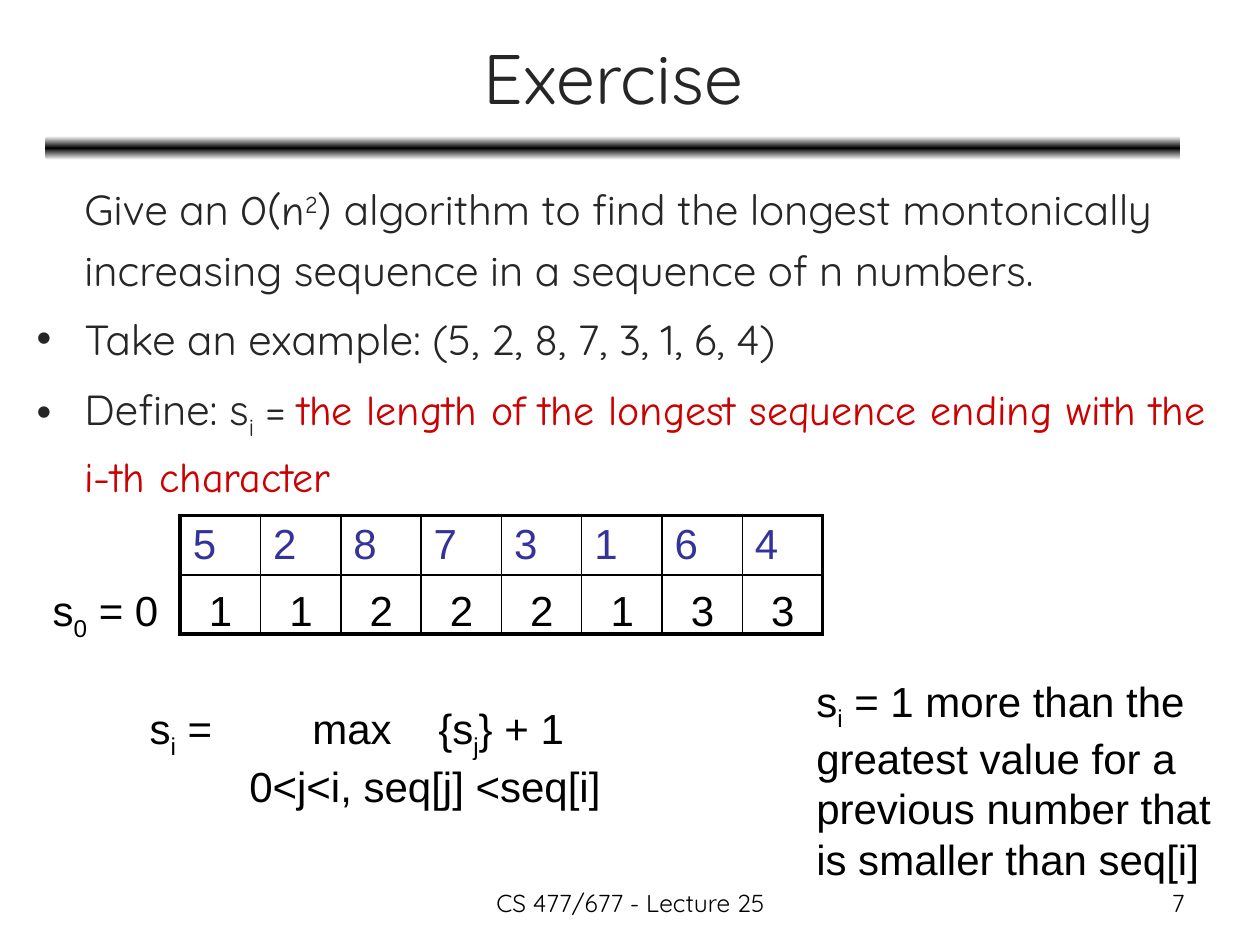
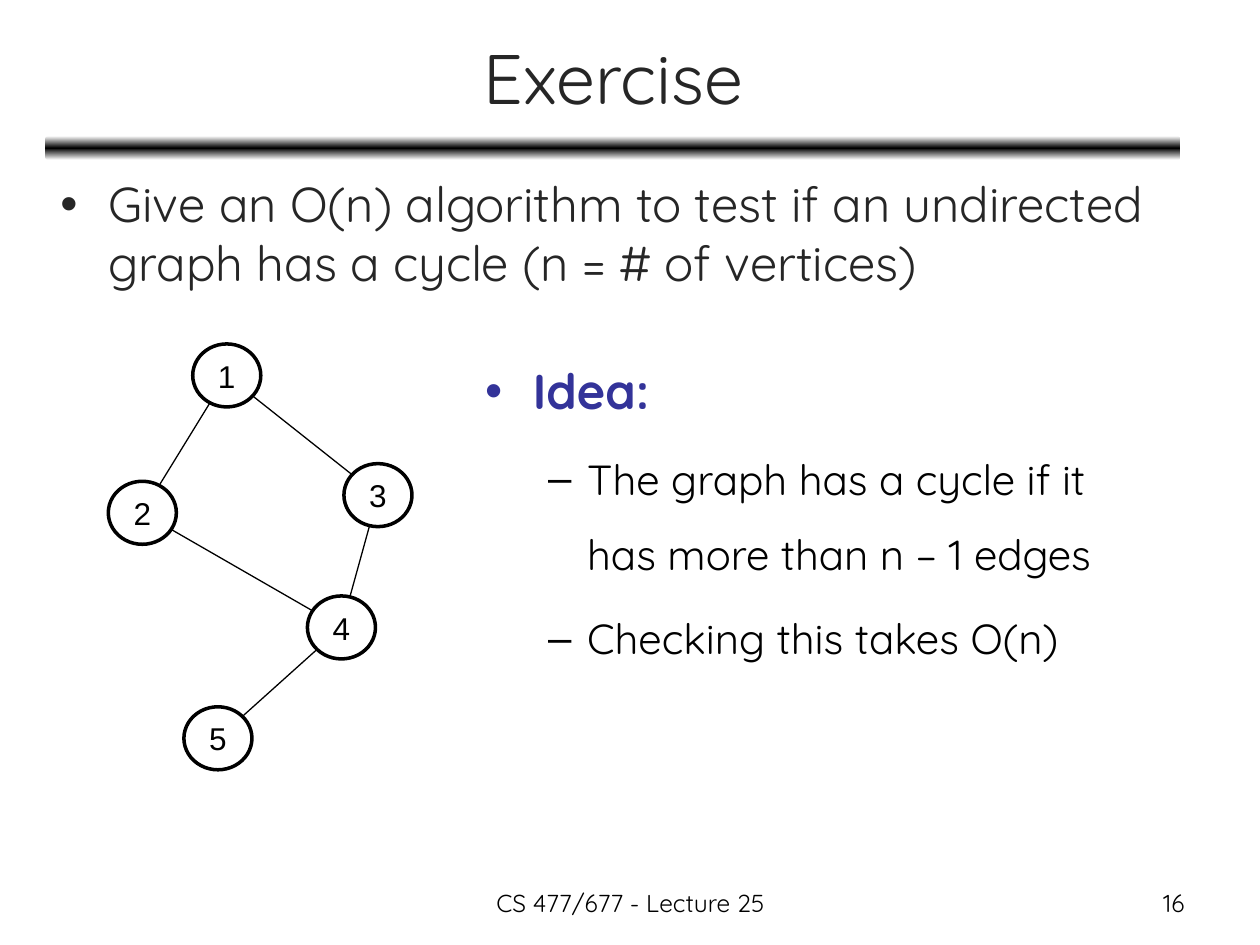
"""Two lecture slides: longest increasing sequence and cycle detection."""
from itertools import product
from math import hypot

from pptx import Presentation
from pptx import util as u
from pptx.dml.color import RGBColor
from pptx.enum import shapes, text
from pptx.oxml import parse_xml
from pptx.oxml.ns import nsdecls, qn

BLACK, WHITE, INK = "000000", "FFFFFF", "262626"
RED, BLUE = "CC0000", "333399"
PLAIN, SCRIPT, HEAD = "Arial", "Comic Neue", "Quicksand"
ALIGN = {"left": text.PP_ALIGN.LEFT, "center": text.PP_ALIGN.CENTER,
         "right": text.PP_ALIGN.RIGHT}
MIDDLE, TOP = text.MSO_ANCHOR.MIDDLE, text.MSO_ANCHOR.TOP
COLUMNS, ROWS = 100, 75
FOOTER = "CS 477/677 - Lecture 25"


def color(hex_string):
    """Turn a hex string into a colour."""
    return RGBColor.from_string(hex_string)


def element(tag, content="", **attributes):
    """Build one drawing element."""
    listed = "".join(f' {name}="{value}"' for name, value in attributes.items())
    return parse_xml(f"<a:{tag} {nsdecls('a')}{listed}>{content}</a:{tag}>")


def solid(hex_string):
    """Return the markup of a solid colour."""
    return f'<a:solidFill><a:srgbClr val="{hex_string}"/></a:solidFill>'


def line(*spans, **format):
    """Describe a paragraph: its spans and what is special about it."""
    return spans, format


def low(letter):
    """Describe a subscript."""
    return letter, {"base": -25}


def write_span(para, words, size=24, font=PLAIN, ink=BLACK, bold=False, base=0):
    """Add one formatted run to a paragraph."""
    span = para.add_run()
    span.text = words
    span.font.size, span.font.name, span.font.bold = u.Pt(size), font, bold
    span.font.color.rgb = color(ink)
    if base:
        span._r.get_or_add_rPr().set("baseline", str(base * 1000))


def write(frame, lines, anchor=TOP, wrap=True, grow=False, **shared):
    """Fill a text frame with lines that share a format."""
    frame.word_wrap, frame.vertical_anchor = wrap, anchor
    frame.auto_size = (text.MSO_AUTO_SIZE.SHAPE_TO_FIT_TEXT if grow
                       else text.MSO_AUTO_SIZE.NONE)
    for number, (spans, special) in enumerate(lines):
        para = frame.paragraphs[0] if number == 0 else frame.add_paragraph()
        format = {**shared, **special}
        shape_para(para, format)
        for span in spans:
            words, change = (span, {}) if isinstance(span, str) else span
            write_span(para, words, **{**format, **change})


def shape_para(para, format):
    """Apply the paragraph part of a format and take it out of the format."""
    para.alignment = ALIGN[format.pop("align", "left")]
    para.level = format.pop("level", 0)
    para.line_spacing = format.pop("spacing", 1.0)
    para.space_before = u.Pt(format.pop("before", 0) * format.get("size", 24))
    indent, hang = format.pop("indent", 0), format.pop("hang", 0)
    bullet, tabs = format.pop("bullet", None), format.pop("tabs", ())
    properties = para._p.get_or_add_pPr()
    properties.set("marL", str(u.Inches(indent)))
    properties.set("indent", str(u.Inches(-hang if bullet else 0)))
    if bullet:
        properties.append(element("buFont", typeface=PLAIN))
        properties.append(element("buChar", char=bullet))
    else:
        properties.append(element("buNone"))
    if tabs:
        stops = "".join(f'<a:tab pos="{u.Inches(stop)}" algn="l"/>' for stop in tabs)
        properties.append(element("tabLst", stops))


class Lecture:
    """The deck's style and its current slide."""

    def __init__(self):
        """Open an empty deck with a grid of columns and rows."""
        self.deck = Presentation()
        self.deck.slide_width, self.deck.slide_height = u.Inches(10), u.Inches(7.5)
        self.page = None

    def across(self, columns):
        """Turn columns into a length."""
        return round(self.deck.slide_width * columns / COLUMNS)

    def down(self, rows):
        """Turn rows into a length."""
        return round(self.deck.slide_height * rows / ROWS)

    def area(self, left, top, width, height):
        """Turn a grid area into four lengths."""
        return (self.across(left), self.down(top),
                self.across(width), self.down(height))

    def slide(self, title, number, layout):
        """Start a slide with its title, band and footer."""
        self.page = self.deck.slides.add_slide(self.deck.slide_layouts[layout])
        self.band(3.6, 10.8, 90.1, 1.9)
        self.placeholder(0, (3.7, 1.1, 90, 9.9), [line(title)], size=40,
                         anchor=MIDDLE, align="center")
        footer = dict(size=14, font=HEAD)
        self.box((34.2, 70, 31.7, 3.5), [line(FOOTER)], align="center", **footer)
        self.box((71.7, 70, 23.3, 3.5), [line(str(number))], align="right", **footer)

    def band(self, *area):
        """Draw the band that fades from black to white at its edges."""
        band = self.page.shapes.add_shape(
            shapes.MSO_SHAPE.ROUNDED_RECTANGLE, *self.area(*area))
        band.shadow.inherit = False
        band.line.fill.background()
        band.fill.gradient()
        band.fill.gradient_angle = 90
        stops = band._element.spPr.find(".//" + qn("a:gsLst"))
        for stop in list(stops):
            stops.remove(stop)
        for share, shade in ((0, WHITE), (50, BLACK), (100, WHITE)):
            stops.append(element("gs", f'<a:srgbClr val="{shade}"/>', pos=share * 1000))

    def placeholder(self, index, area, lines, **format):
        """Move a placeholder and fill it with lines."""
        holder = self.page.placeholders[index]
        holder.left, holder.top, holder.width, holder.height = self.area(*area)
        write(holder.text_frame, lines, **{"font": HEAD, "ink": INK, **format})

    def box(self, area, lines, **format):
        """Add a text box."""
        box = self.page.shapes.add_textbox(*self.area(*area))
        write(box.text_frame, lines, **format)

    def table(self, area, rows, **format):
        """Add a table with a thick outline and thin inner lines."""
        height, width = len(rows), len(rows[0])
        table = self.page.shapes.add_table(height, width, *self.area(*area)).table
        table.first_row = table.horz_banding = False
        for row, column in product(range(height), range(width)):
            cell = table.cell(row, column)
            cell.fill.background()
            write_lines = [line(rows[row][column])] if rows[row][column] else []
            write(cell.text_frame, write_lines, **format)
            cell.vertical_anchor = MIDDLE
            edges = {"lnL": column == 0, "lnR": column == width - 1,
                     "lnT": row == 0, "lnB": row == height - 1}
            properties = cell._tc.get_or_add_tcPr()
            for place, (tag, outer) in enumerate(edges.items()):
                weight = u.Pt(2.25 if outer else 1)
                properties.insert(place, element(tag, solid(BLACK), w=weight))

    def node(self, center, label, width, height):
        """Draw a labelled graph vertex around its centre."""
        column, row = center
        node = self.page.shapes.add_shape(shapes.MSO_SHAPE.OVAL, *self.area(
            column - width / 2, row - height / 2, width, height))
        node.shadow.inherit = False
        node.fill.solid()
        node.fill.fore_color.rgb = color(WHITE)
        node.line.color.rgb, node.line.width = color(BLACK), u.Pt(2)
        write(node.text_frame, [line(label)], size=18, align="center",
              anchor=MIDDLE, wrap=False)

    def edge(self, start, end, width, height):
        """Join two vertices from rim to rim."""
        run, rise = end[0] - start[0], end[1] - start[1]
        rim = 1 / hypot(run * 2 / width, rise * 2 / height)
        points = [(start[0] + run * share, start[1] + rise * share)
                  for share in (rim, 1 - rim)]
        ends = [length for column, row in points
                for length in (self.across(column), self.down(row))]
        edge = self.page.shapes.add_connector(shapes.MSO_CONNECTOR.STRAIGHT, *ends)
        edge.line.color.rgb, edge.line.width = color(BLACK), u.Pt(0.75)
        edge._element.spPr.append(element("effectLst"))

    def graph(self, centers, edges, width, height):
        """Draw vertices and the edges between them."""
        for label, center in centers.items():
            self.node(center, label, width, height)
        for start, end in edges:
            self.edge(centers[start], centers[end], width, height)


def sequence_slide(lecture):
    """Build the exercise on the longest increasing sequence."""
    lecture.slide("Exercise", 7, layout=1)
    script = {"font": SCRIPT}
    lecture.placeholder(1, (1.9, 13.3, 96.2, 28.8), [
        line("Give an ", ("O(n", script), ("2", {**script, "base": 30}), (")", script),
             " algorithm to find the longest montonically increasing sequence "
             "in a sequence of n numbers.", bullet=None),
        line("Take an example: (5, 2, 8, 7, 3, 1, 6, 4)"),
        line("Define: s", low("i"), " = ",
             ("the length of the longest sequence ending with the i-th character",
              {**script, "ink": RED})),
    ], bullet="•", indent=0.38, hang=0.38, spacing=1.2, before=0.2)

    numbers, lengths = "52873164", "11222133"
    left, width = 14.3, 51
    lecture.table((left, 40.9, width, 9.4), [numbers, [""] * len(numbers)], ink=BLUE)
    loose = dict(wrap=False, grow=True)
    for column, length in enumerate(lengths):
        place = left + 1.3 + column * width / len(lengths)
        lecture.box((place, 45.9, 3.9, 5), [line(length)], **loose)
    lecture.box((3.2, 45.9, 10.6, 5), [line("s", low("0"), " = 0")], **loose)
    lecture.box((10.9, 55.3, 8, 5), [line("s", low("i"), " = ")], **loose)
    lecture.box((18.8, 55.3, 45.9, 9), [
        line("\tmax\t{s", low("j"), "} + 1", tabs=(0.74, 3.03)),
        line("0<j<i, seq[j] <seq[i]"),
    ], grow=True)
    lecture.box((63.8, 53.1, 36.2, 17), [
        line("s", low("i"), " = 1 more than the"),
        line("greatest value for a previous number that"),
        line("is smaller than seq[i]"),
    ], grow=True)


def cycle_slide(lecture):
    """Build the exercise on finding a cycle in a graph."""
    lecture.slide("Exercise", 16, layout=3)
    listed = dict(bullet="•", indent=0.38, hang=0.38, before=0.2, size=28)
    lecture.placeholder(1, (3.8, 13.3, 90, 14.6), [
        line("Give an O(n) algorithm to test if an undirected graph has a cycle "
             "(n = # of vertices)")], **listed)
    centers = {"1": (18, 29.8), "2": (11.3, 40.7), "3": (30, 39.3),
               "4": (27.1, 49.8), "5": (17.3, 58.6)}
    lecture.graph(centers, ["13", "12", "34", "24", "45"], width=5.4, height=5)
    point = dict(level=1, bullet="–", indent=0.81, hang=0.31, size=24)
    lecture.placeholder(2, (37.5, 25.8, 54.8, 43.5), [
        line("Idea:", ink=BLUE, bold=True),
        line("The graph has a cycle if it has more than n – 1 edges", **point),
        line("Checking this takes O(n)", **point),
    ], **{**listed, "ink": BLACK, "spacing": 1.5})


lecture = Lecture()
sequence_slide(lecture)
cycle_slide(lecture)
lecture.deck.save("out.pptx")
